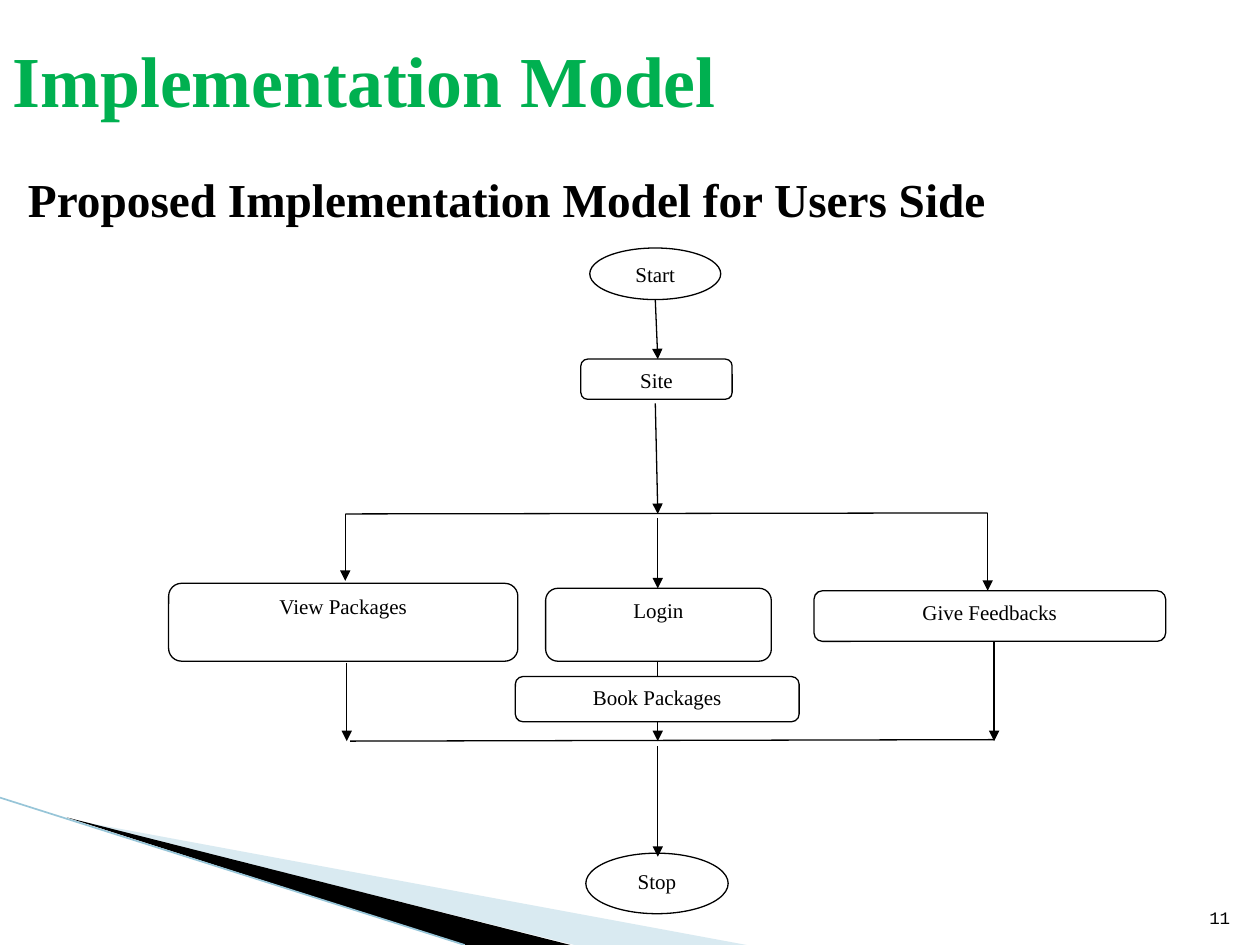
from typing import NamedTuple

from lxml.etree import SubElement as Sub
from pptx import Presentation as Deck
from pptx.dml.color import RGBColor as Rgb
from pptx.enum.shapes import MSO_CONNECTOR as Conn, MSO_SHAPE as Kind
from pptx.enum.text import MSO_ANCHOR as Anchor, MSO_AUTO_SIZE as Fit, PP_ALIGN as Align
from pptx.oxml.ns import qn
from pptx.util import Cm, Pt

HUES = {"ink": "000000", "paper": "FFFFFF", "title": "00B050",
        "pale": "A0CBDC", "edge": "97C5D8"}
SERIF = "Times New Roman"
MID = 13.26      # centre column of the chart
FORK = 10.36     # height where the flow splits
JOIN = 14.94     # height where the flow meets again


class Node(NamedTuple):
    """A labelled step of the flow, in centimetres."""
    label: str
    kind: Kind
    left: float
    top: float
    width: float
    height: float


class Link(NamedTuple):
    """A line of the flow, in centimetres."""
    x1: float
    y1: float
    x2: float
    y2: float
    arrow: bool = True


NODES = [
    Node("Start", Kind.OVAL, 11.89, 5, 2.64, 1.04),
    Node("Site", Kind.ROUNDED_RECTANGLE, 11.71, 7.24, 3.05, 0.81),
    Node("Stop", Kind.OVAL, 11.81, 17.2, 2.87, 1.22),
    Node("View Packages", Kind.ROUNDED_RECTANGLE, 3.4, 11.76, 7.04, 1.57),
    Node("Login", Kind.ROUNDED_RECTANGLE, 11, 11.86, 4.55, 1.47),
    Node("Give Feedbacks", Kind.ROUNDED_RECTANGLE, 16.41, 11.91, 7.09, 1.02),
    Node("Book Packages", Kind.ROUNDED_RECTANGLE, 10.39, 13.64, 5.72, 0.91),
]
LINKS = [
    Link(6.96, FORK, 19.91, 10.34, False),
    Link(7.06, JOIN, 20.04, 14.91, False),
    Link(13.21, 6.05, MID, 7.24),
    Link(13.21, 8.13, MID, FORK),
    Link(6.96, FORK, 6.96, 11.71),
    Link(6.99, 13.36, 6.99, JOIN),
    Link(MID, 10.44, MID, 11.86),
    Link(MID, 13.34, MID, JOIN),
    Link(19.91, 10.34, 19.91, 11.91),
    Link(20.04, 12.95, 20.04, JOIN),
    Link(MID, 15.04, MID, 17.27),
]


def tint(name: str) -> Rgb:
    """Look up a colour."""
    return Rgb.from_string(HUES[name])


def place(shape, left: float, top: float, width: float, height: float) -> None:
    """Move and size a shape."""
    shape.left, shape.top = Cm(left), Cm(top)
    shape.width, shape.height = Cm(width), Cm(height)


def write(shape, text: str, size: float, align: Align, anchor: Anchor,
          hue: str = "ink", face: str = SERIF, bold: bool = False):
    """Add one run to a shape and return its paragraph."""
    frame = shape.text_frame
    frame.word_wrap, frame.auto_size = True, Fit.NONE
    frame.vertical_anchor = anchor
    para = frame.paragraphs[0]
    para.alignment = align
    run = para.add_run()
    run.text = text
    font = run.font
    font.name, font.size, font.bold = face, Pt(size), bold
    font.color.rgb = tint(hue)
    return para


def wedge(slide, points: list[tuple[float, float]], hue: str, alpha: int = 100) -> None:
    """Draw a filled corner wedge."""
    spots = [(Cm(x), Cm(y)) for x, y in points]
    pen = slide.shapes.build_freeform(*spots[0])
    pen.add_line_segments(spots[1:], close=True)
    shape = pen.convert_to_shape()
    shape.shadow.inherit = False
    shape.line.fill.background()
    shape.fill.solid()
    shape.fill.fore_color.rgb = tint(hue)
    if alpha < 100:
        color = next(shape._element.iter(qn("a:srgbClr")))
        Sub(color, qn("a:alpha"), val=str(alpha * 1000))


def join(slide, link: Link, hue: str = "ink", width: float = 0.75) -> None:
    """Draw a line, with an arrowhead if asked."""
    line = slide.shapes.add_connector(
        Conn.STRAIGHT, Cm(link.x1), Cm(link.y1), Cm(link.x2), Cm(link.y2))
    line.line.color.rgb = tint(hue)
    line.line.width = Pt(width)
    if link.arrow:
        Sub(line.line._get_or_add_ln(), qn("a:tailEnd"), type="triangle")
    Sub(line._element.spPr, qn("a:effectLst"))


def step(slide, node: Node) -> None:
    """Draw a labelled step."""
    shape = slide.shapes.add_shape(node.kind, 0, 0, 0, 0)
    place(shape, *node[2:])
    shape.shadow.inherit = False
    shape.fill.solid()
    shape.fill.fore_color.rgb = tint("paper")
    shape.line.color.rgb = tint("ink")
    shape.line.width = Pt(0.75)
    para = write(shape, node.label, 12, Align.CENTER, Anchor.TOP)
    para.space_after = Pt(10)


def heads(slide) -> None:
    """Fill the title and body placeholders."""
    title, body = slide.shapes.title, slide.placeholders[1]
    place(body, 0, 2.74, 25.4, 16.31)
    para = write(body, "Proposed Implementation Model for Users Side", 27,
                 Align.LEFT, Anchor.TOP, bold=True)
    para.line_spacing, para.space_before = 1.5, Pt(4)
    props = para._p.get_or_add_pPr()
    props.set("marL", str(Cm(1.02)))
    props.set("indent", str(Cm(-0.71)))
    Sub(props, qn("a:buNone"))
    place(title, 0, 0, 22.86, 3.18)
    write(title, "Implementation Model", 41, Align.LEFT, Anchor.MIDDLE, "title", bold=True)
    for shape in (body, title):
        slide.shapes._spTree.append(shape._element)


def main() -> None:
    """Build the slide and save it."""
    deck = Deck()
    deck.slide_width, deck.slide_height = Cm(25.4), Cm(19.05)
    slide = deck.slides.add_slide(deck.slide_layouts[1])
    wedge(slide, [(1.4, 16.52), (15.05, 19.05), (11.58, 19.05)], "pale", 40)
    wedge(slide, [(1.35, 16.48), (11.5, 19.05), (9.35, 19.05)], "ink")
    join(slide, Link(0, 16.08, 9.37, 19.05, False), "edge", 0.95)
    heads(slide)
    for link in LINKS:
        join(slide, link)
    for node in NODES:
        step(slide, node)
    # The last arrow ends inside the Stop oval, so it lies above it.
    slide.shapes._spTree.append(
        [s for s in slide.shapes if s.shape_type == 9 or s._element.tag == qn("p:cxnSp")][-1]._element)
    page = slide.shapes.add_textbox(0, 0, 0, 0)
    place(page, 24.03, 17.81, 1.02, 1.02)
    write(page, "11", 10, Align.RIGHT, Anchor.BOTTOM, face="Courier New")
    deck.save("out.pptx")


main()
